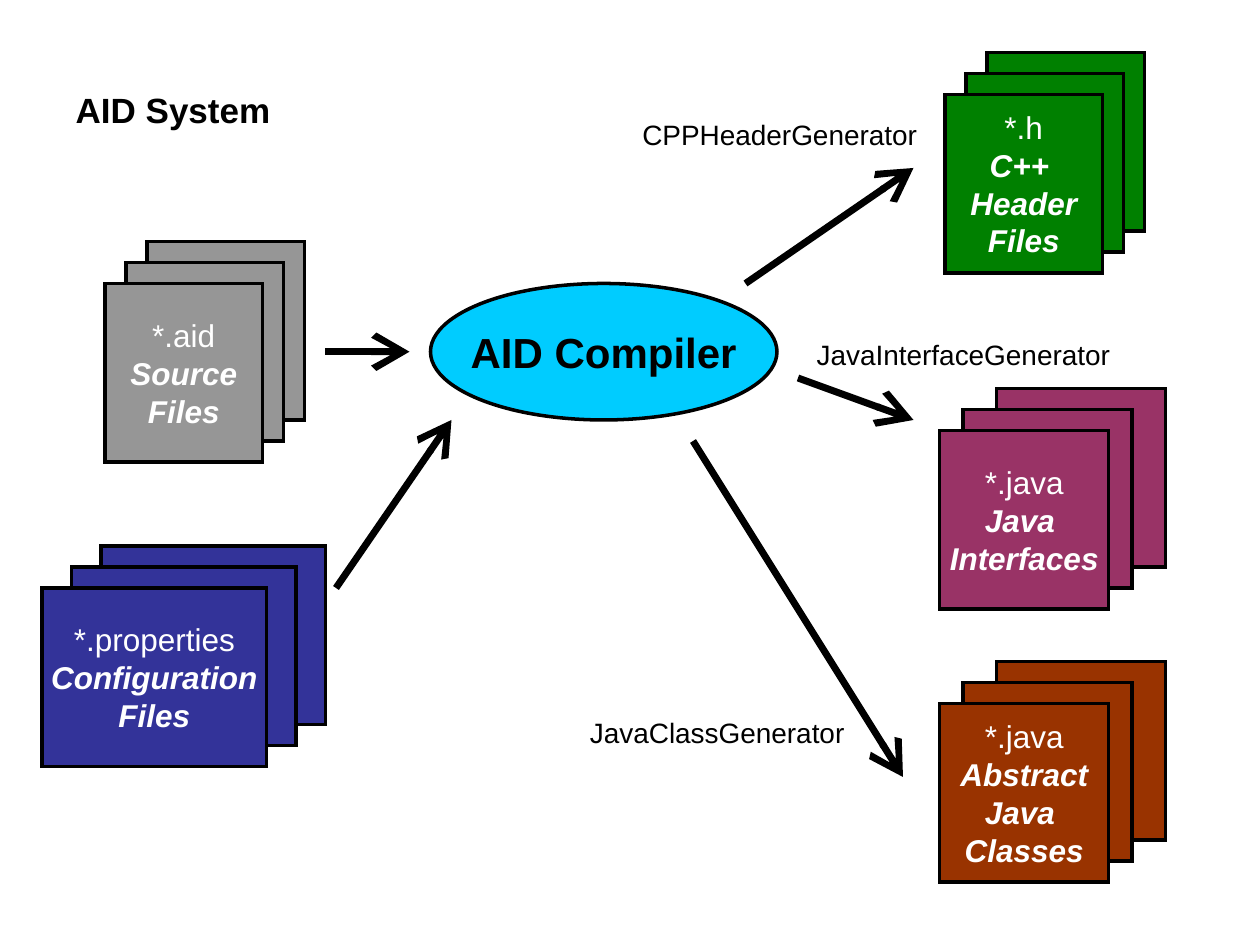
import lxml.etree
import pptx
import pptx.dml.color
import pptx.enum.shapes
import pptx.enum.text
import pptx.oxml.ns
import pptx.util

COLORS = {
    "black": "000000", "white": "FFFFFF", "source": "969696", "compiler": "00CCFF",
    "header": "008000", "interface": "993366", "configuration": "333399", "class": "993300",
}
FONT = "Arial"
CELL = 1 / 6  # the slide is a grid of 60 columns by 45 rows
SHEET_HEIGHT = 8.5
SHAPES = pptx.enum.shapes.MSO_SHAPE
ALIGN = pptx.enum.text.PP_ALIGN
ANCHOR = pptx.enum.text.MSO_ANCHOR
AUTO_SIZE = pptx.enum.text.MSO_AUTO_SIZE


def grid(*cells):
    return [pptx.util.Inches(cell * CELL) for cell in cells]


def color(name):
    return pptx.dml.color.RGBColor.from_string(COLORS[name])


def add_element(parent, tag, **attributes):
    lxml.etree.SubElement(parent, pptx.oxml.ns.qn(tag), **attributes)


def write(paragraph, text, size=18, fill="black", bold=False, italic=False, align=ALIGN.LEFT):
    paragraph.text = text  # a newline becomes a line break
    paragraph.alignment = align
    for run in paragraph.runs:
        font = run.font
        font.name, font.size = FONT, pptx.util.Pt(size)
        font.bold, font.italic = bold, italic
        font.color.rgb = color(fill)


def add_outlined(shapes, kind, box, fill):
    shape = shapes.add_shape(kind, *grid(*box))
    shape.shadow.inherit = False
    shape.fill.solid()
    shape.fill.fore_color.rgb = color(fill)
    shape.line.color.rgb = color("black")
    shape.line.width = pptx.util.Pt(2)
    add_element(shape.line._get_or_add_ln(), "a:miter", lim="800000")
    shape.text_frame.word_wrap = False
    shape.text_frame.vertical_anchor = ANCHOR.MIDDLE
    return shape


def add_file_stack(slide, left, top, width, shifts, fill, pattern, names):
    """Three sheets, the front one at left and top; shifts move the others right."""
    group = slide.shapes.add_group_shape()
    for level in (2, 1, 0):
        box = (left + shifts[level], top - level, width, SHEET_HEIGHT)
        sheet = add_outlined(group.shapes, SHAPES.RECTANGLE, box, fill)
    frame = sheet.text_frame
    write(frame.paragraphs[0], pattern, fill="white", align=ALIGN.CENTER)
    for name in names:
        write(frame.add_paragraph(), name, fill="white", bold=True, italic=True,
              align=ALIGN.CENTER)


def add_compiler(slide, box):
    ellipse = add_outlined(slide.shapes, SHAPES.OVAL, box, "compiler")
    write(ellipse.text_frame.paragraphs[0], "AID Compiler", size=24, bold=True,
          align=ALIGN.CENTER)


def add_arrow(slide, start, end):
    arrow = slide.shapes.add_connector(
        pptx.enum.shapes.MSO_CONNECTOR.STRAIGHT, *grid(*start, *end))
    arrow.line.color.rgb = color("black")
    arrow.line.width = pptx.util.Pt(4)
    add_element(arrow.line._get_or_add_ln(), "a:tailEnd", type="arrow", w="lg", len="lg")
    add_element(arrow._element.spPr, "a:effectLst")


def format_text_box(shape, box, text, **text_format):
    shape.left, shape.top, shape.width, shape.height = grid(*box)
    frame = shape.text_frame
    frame.word_wrap = False
    frame.auto_size = AUTO_SIZE.SHAPE_TO_FIT_TEXT
    frame.vertical_anchor = ANCHOR.TOP
    write(frame.paragraphs[0], text, **text_format)


def add_label(slide, box, text):
    format_text_box(slide.shapes.add_textbox(*grid(*box)), box, text, size=16)


def main():
    presentation = pptx.Presentation()
    presentation.slide_width, presentation.slide_height = grid(60, 45)
    slide = presentation.slides.add_slide(presentation.slide_layouts[5])
    format_text_box(slide.shapes.title, (3, 3.9, 11, 2.6), "AID System",
                    size=20, bold=True)

    # Input and output files: left, top, width, shifts, fill, pattern, names
    even, wide, uneven = (0, 1, 2), (0, 1.4, 2.8), (0, 1.1, 2.7)
    for stack in (
        (5, 13.5, 7.5, even, "source", "*.aid", ["Source\nFiles"]),
        (2, 28, 10.7, wide, "configuration", "*.properties", ["Configuration", "Files"]),
        (45, 4.5, 7.5, even, "header", "*.h", ["C++ \nHeader\nFiles"]),
        (44.75, 20.5, 8.05, uneven, "interface", "*.java", ["Java \nInterfaces"]),
        (44.75, 33.5, 8.05, uneven, "class", "*.java", ["Abstract\nJava \nClasses"]),
    ):
        add_file_stack(slide, *stack)

    add_compiler(slide, (20.5, 13.5, 16.5, 6.5))

    # Flow into and out of the compiler
    for start, end in (
        ((15.5, 16.75), (19.5, 16.75)),
        ((16, 28), (21.5, 20)),
        ((35.5, 13.5), (43.5, 8)),
        ((38, 18), (43.5, 20)),
        ((33, 21), (43, 37)),
    ):
        add_arrow(slide, start, end)

    # Generator names beside the outgoing arrows
    for left, top, width, text in (
        (30, 5.3, 14.5, "CPPHeaderGenerator"),
        (38.3, 15.8, 15.4, "JavaInterfaceGenerator"),
        (27.5, 33.8, 13.6, "JavaClassGenerator"),
    ):
        add_label(slide, (left, top, width, 2.2), text)

    presentation.save("out.pptx")


if __name__ == "__main__":
    main()
